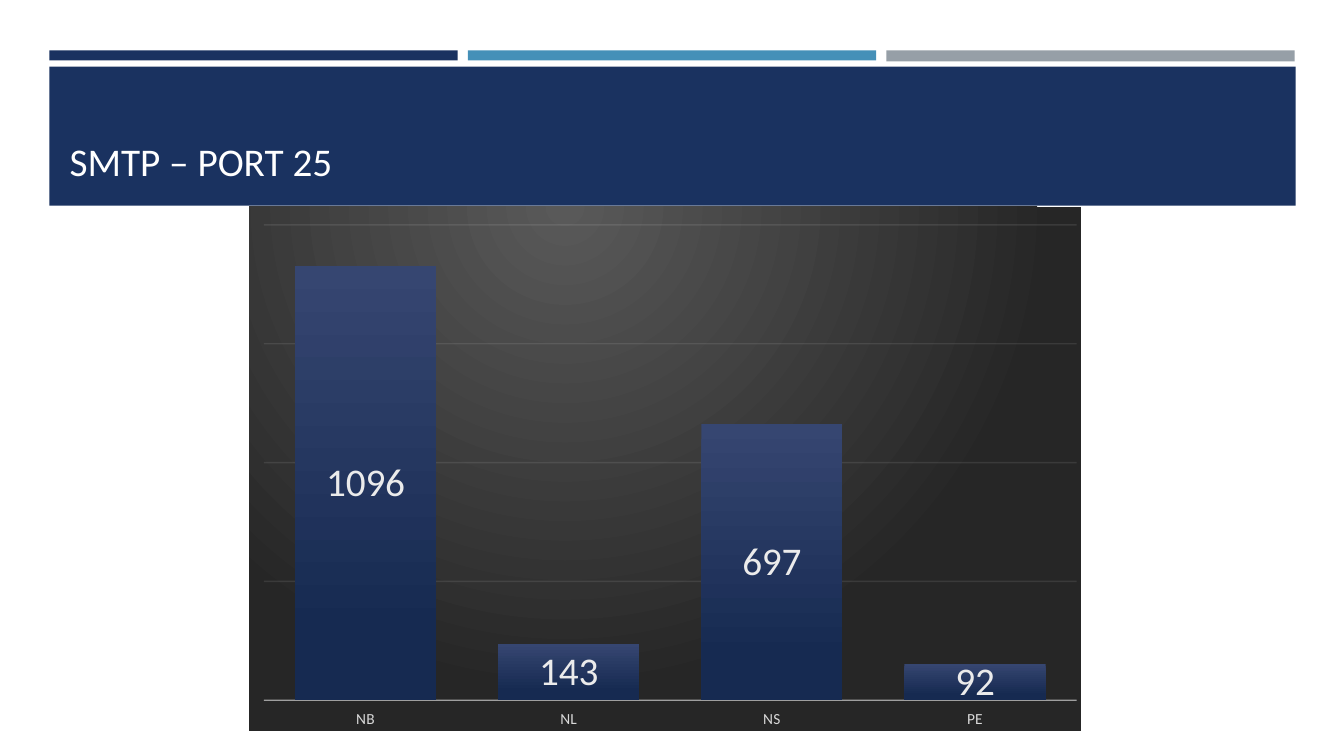
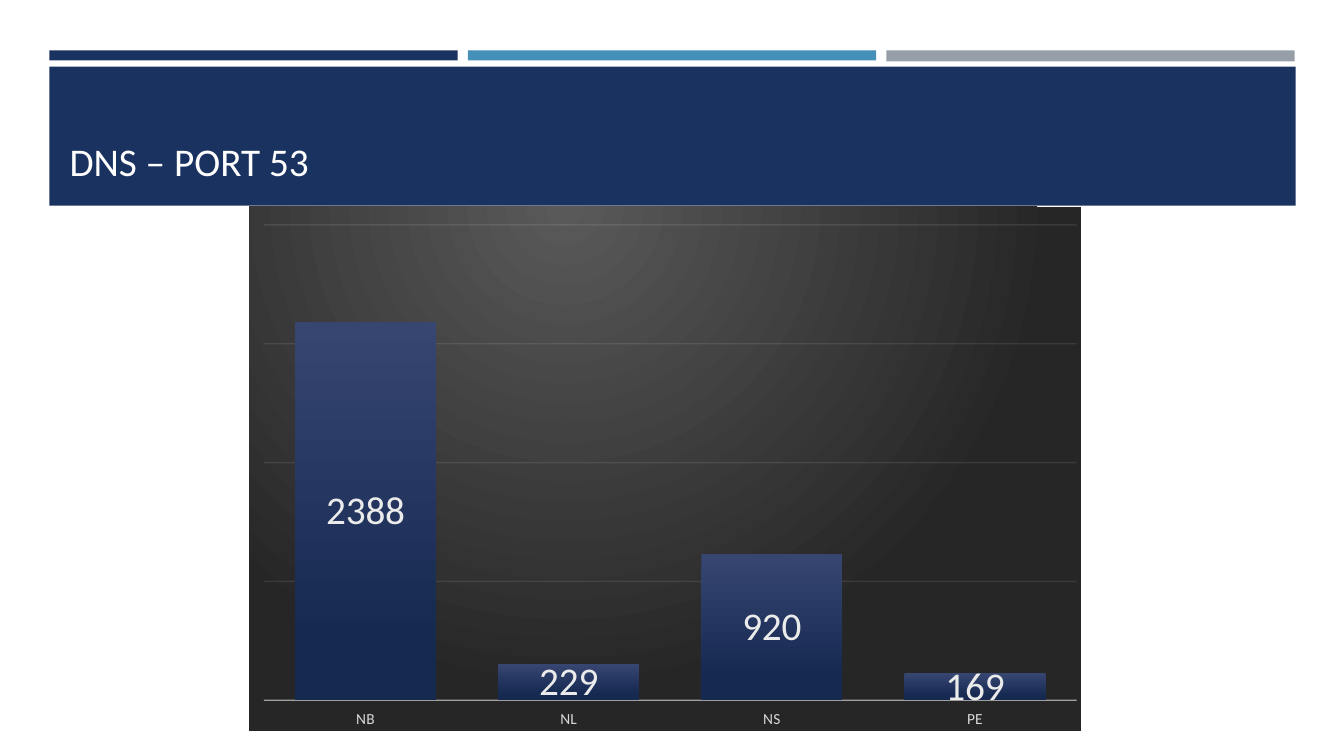
import pptx
import pptx.chart.data
import pptx.dml.color
import pptx.enum.chart
import pptx.enum.shapes
import pptx.enum.text
import pptx.oxml
import pptx.oxml.ns
import pptx.util

Inches = pptx.util.Inches
Pt = pptx.util.Pt
RGBColor = pptx.dml.color.RGBColor

NAVY = RGBColor(0x1A, 0x32, 0x60)
BLUE = RGBColor(0x45, 0x90, 0xB8)
GRAY = RGBColor(0x96, 0x9F, 0xA7)
WHITE = RGBColor(0xFF, 0xFF, 0xFF)
AXIS_LINE = RGBColor(0xF2, 0xF2, 0xF2)
AXIS_TEXT = RGBColor(0xD9, 0xD9, 0xD9)
LABEL_TEXT = RGBColor(0xEB, 0xEB, 0xEB)
COLUMN_TOP = RGBColor(0x36, 0x46, 0x71)
COLUMN_BOTTOM = RGBColor(0x16, 0x2A, 0x51)
CHART_CENTER = RGBColor(0x59, 0x59, 0x59)
CHART_EDGE = RGBColor(0x26, 0x26, 0x26)
FONT = "Calibri"

BANDS = [
    (0.49, 0.5, 4.05, 0.1, NAVY),
    (4.64, 0.5, 4.05, 0.1, BLUE),
    (8.79, 0.5, 4.05, 0.11, GRAY),
    (0.49, 0.66, 12.36, 1.38, NAVY),
]
PROVINCES = ["NB", "NL", "NS", "PE"]
PORTS = [
    ("SMTP – PORT 25", [1096, 143, 697, 92], 300),
    ("DNS – PORT 53", [2388, 229, 920, 169], 750),
]

CHART_BACKGROUND = f"""<c:spPr {pptx.oxml.ns.nsdecls("c", "a")}>
<a:gradFill><a:gsLst>
<a:gs pos="0"><a:srgbClr val="{CHART_CENTER}"/></a:gs>
<a:gs pos="100000"><a:srgbClr val="{CHART_EDGE}"/></a:gs>
</a:gsLst><a:path path="circle">
<a:fillToRect l="38000" t="-20000" r="62000" b="120000"/>
</a:path></a:gradFill><a:ln><a:noFill/></a:ln></c:spPr>"""
PLOT_LAYOUT = f"""<c:layout {pptx.oxml.ns.nsdecls("c")}><c:manualLayout>
<c:layoutTarget val="inner"/><c:xMode val="edge"/><c:yMode val="edge"/>
<c:x val="0.018"/><c:y val="0.035"/><c:w val="0.977"/><c:h val="0.907"/>
</c:manualLayout></c:layout>"""


def set_font(font, size, color):
    font.name = FONT
    font.size = Pt(size)
    font.color.rgb = color


def set_line(chart, line, color_query, opacity):
    line.width = Pt(1)
    line.color.rgb = AXIS_LINE
    for color in chart.element.xpath(color_query):
        color.append(pptx.oxml.parse_xml(
            f'<a:alpha {pptx.oxml.ns.nsdecls("a")} val="{opacity * 1000}"/>'))


presentation = pptx.Presentation()
presentation.slide_width = Inches(13.33)
presentation.slide_height = Inches(7.5)

for title, values, step in PORTS:
    slide = presentation.slides.add_slide(presentation.slide_layouts[6])

    for left, top, width, height, color in BANDS:
        band = slide.shapes.add_shape(
            pptx.enum.shapes.MSO_SHAPE.RECTANGLE,
            Inches(left), Inches(top), Inches(width), Inches(height))
        band.shadow.inherit = False
        band.fill.solid()
        band.fill.fore_color.rgb = color
        band.line.fill.background()

    title_box = slide.shapes.add_textbox(Inches(0.64), Inches(0.8), Inches(12.06), Inches(1.08))
    text_frame = title_box.text_frame
    text_frame.word_wrap = True
    text_frame.vertical_anchor = pptx.enum.text.MSO_ANCHOR.BOTTOM
    text_frame.margin_left = text_frame.margin_right = Inches(0.05)
    text_frame.margin_top = text_frame.margin_bottom = Inches(0.05)
    text_frame.text = title
    set_font(text_frame.paragraphs[0].runs[0].font, 28, WHITE)

    chart_data = pptx.chart.data.CategoryChartData(number_format="0")
    chart_data.categories = PROVINCES
    chart_data.add_series("Series 1", values)
    chart = slide.shapes.add_chart(
        pptx.enum.chart.XL_CHART_TYPE.COLUMN_STACKED,
        Inches(2.47), Inches(2.05), Inches(8.25), Inches(5.2), chart_data).chart
    chart.has_title = False
    chart.has_legend = False
    set_font(chart.font, 11, AXIS_TEXT)
    chart.element.xpath("c:chart")[0].addnext(pptx.oxml.parse_xml(CHART_BACKGROUND))
    plot_area = chart.element.xpath("c:chart/c:plotArea")[0]
    for layout in plot_area.xpath("c:layout"):
        plot_area.remove(layout)
    plot_area.insert(0, pptx.oxml.parse_xml(PLOT_LAYOUT))

    for axis in (chart.category_axis, chart.value_axis):
        axis.major_tick_mark = pptx.enum.chart.XL_TICK_MARK.NONE
        axis.minor_tick_mark = pptx.enum.chart.XL_TICK_MARK.NONE
        set_font(axis.tick_labels.font, 11, AXIS_TEXT)
    category_axis = chart.category_axis
    category_axis.tick_label_position = pptx.enum.chart.XL_TICK_LABEL_POSITION.LOW
    set_line(chart, category_axis.format.line, "//c:catAx/c:spPr//a:srgbClr", 54)

    value_axis = chart.value_axis
    value_axis.tick_label_position = pptx.enum.chart.XL_TICK_LABEL_POSITION.NONE
    value_axis.minimum_scale = 0
    value_axis.maximum_scale = 4 * step
    value_axis.major_unit = step
    value_axis.format.line.fill.background()
    value_axis.has_major_gridlines = True
    set_line(chart, value_axis.major_gridlines.format.line, "//c:majorGridlines//a:srgbClr", 10)

    plot = chart.plots[0]
    plot.vary_by_categories = False
    plot.gap_width = 44
    plot.overlap = 100
    column_fill = plot.series[0].format.fill
    column_fill.gradient()
    column_fill.gradient_angle = 270
    for stop, position, color in zip(
            column_fill.gradient_stops, (0, 0.84), (COLUMN_TOP, COLUMN_BOTTOM)):
        stop.position = position
        stop.color.rgb = color

    labels = plot.series[0].data_labels
    labels.show_value = True
    labels.position = pptx.enum.chart.XL_LABEL_POSITION.CENTER
    labels.number_format = "0"
    labels.number_format_is_linked = False
    set_font(labels.font, 28, LABEL_TEXT)

presentation.save("out.pptx")
